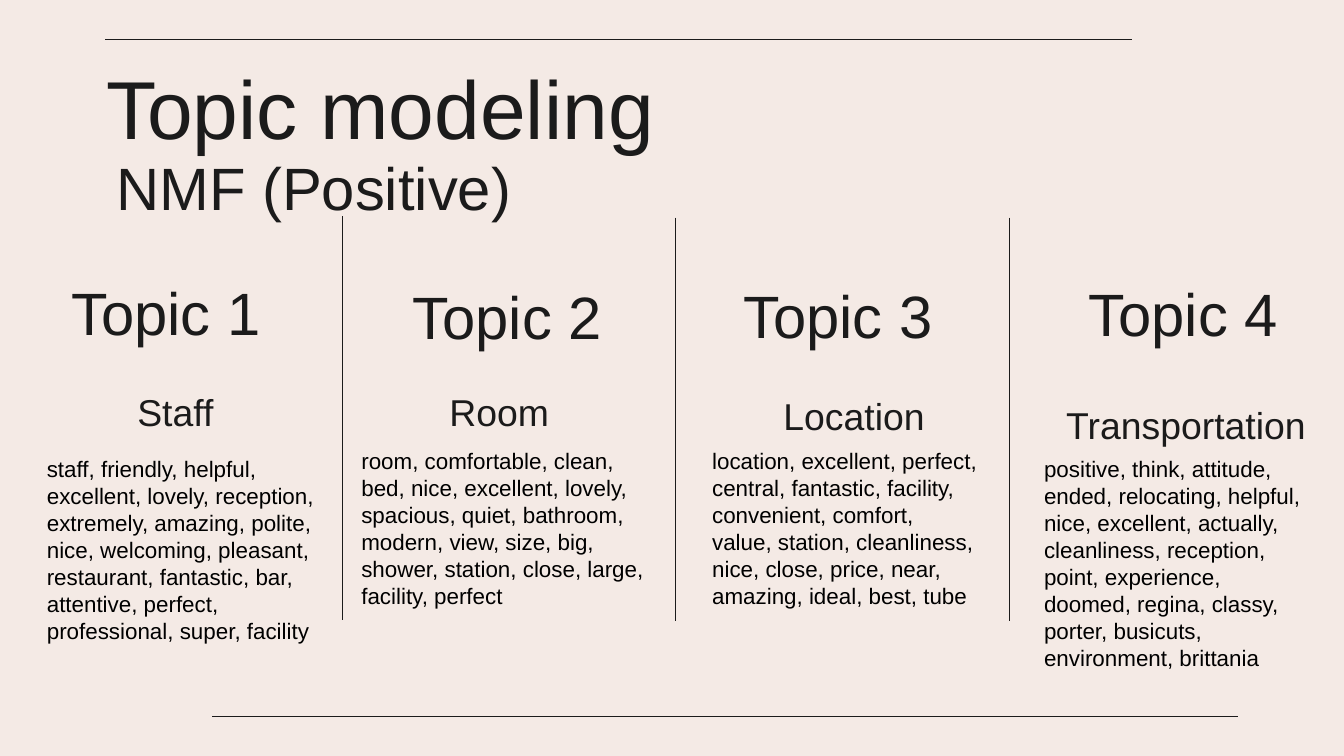
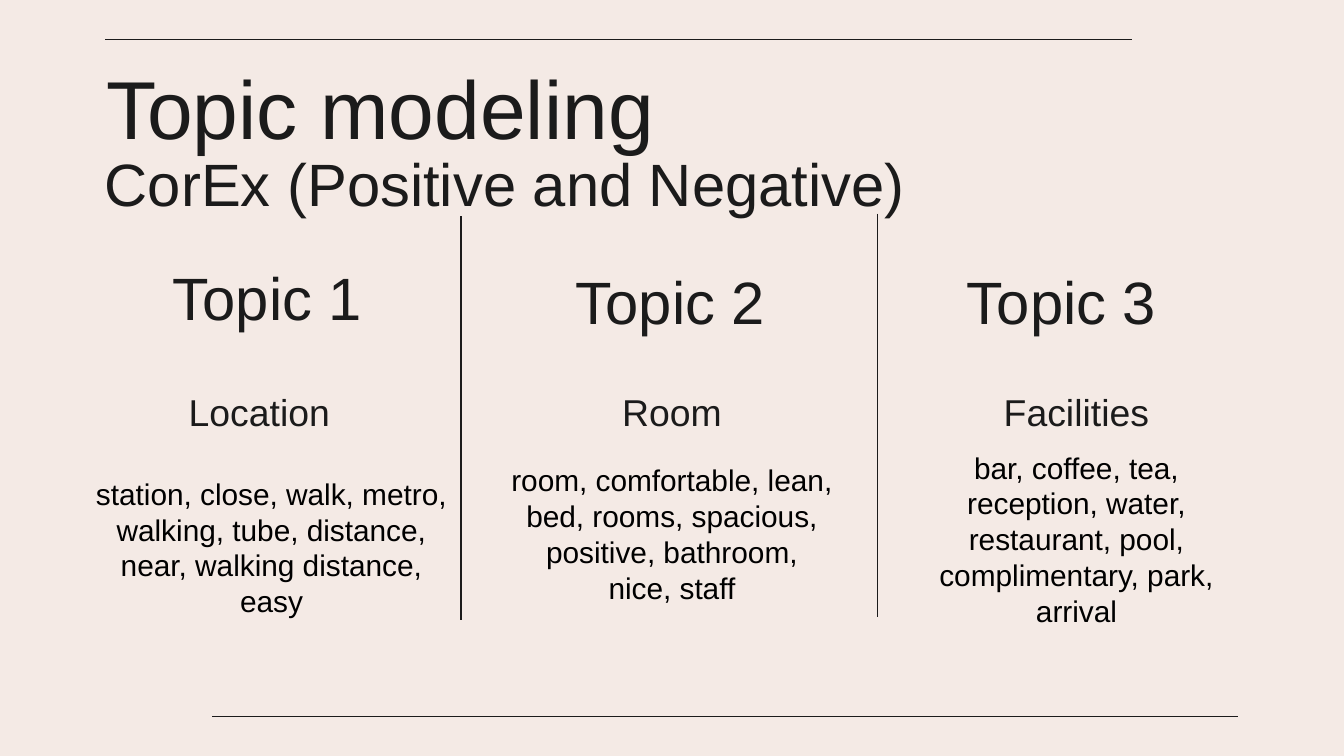
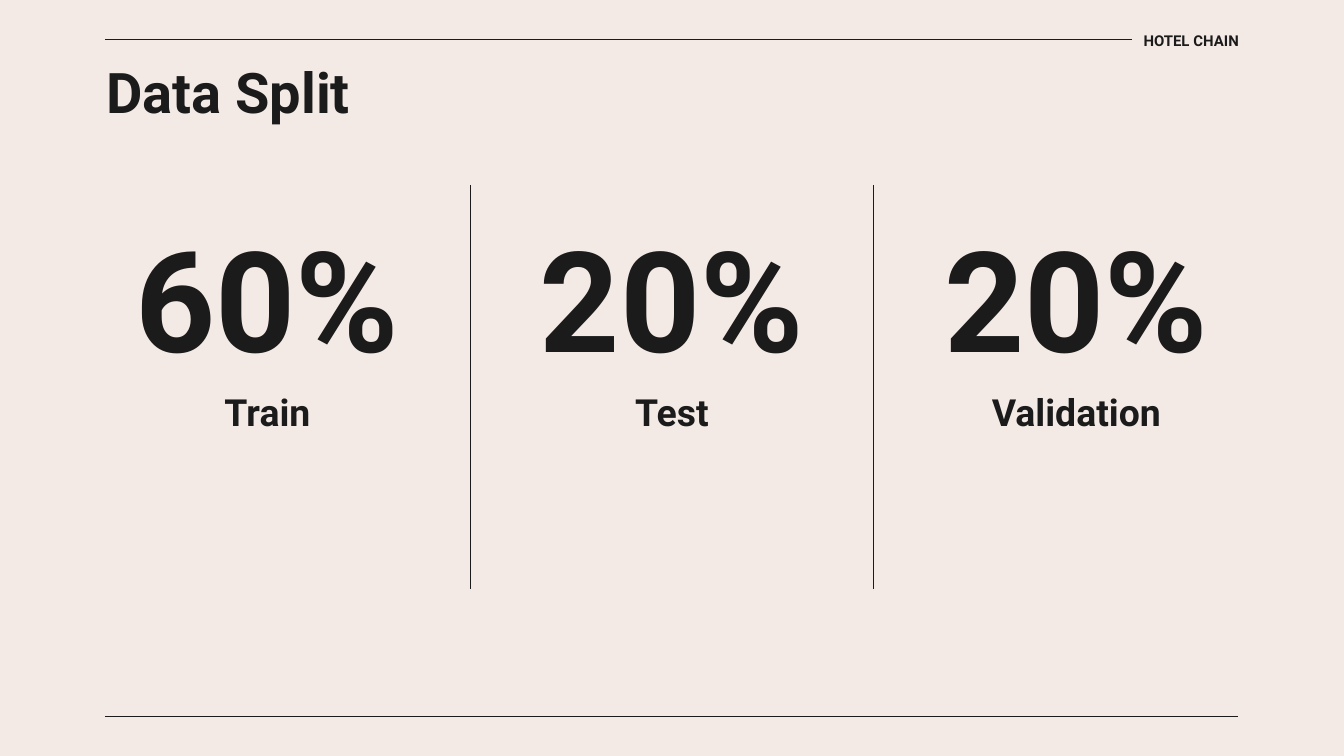
from dataclasses import dataclass, field
from typing import Any, NamedTuple

from lxml.etree import SubElement
from pptx import Presentation
from pptx.dml.color import RGBColor
from pptx.enum.shapes import MSO_CONNECTOR
from pptx.enum.text import MSO_ANCHOR, MSO_AUTO_SIZE, PP_ALIGN
from pptx.oxml.ns import qn
from pptx.slide import Slide
from pptx.util import Inches, Pt

WIDTH, HEIGHT = Inches(10), Inches(5.625)
CELL = WIDTH // 100  # the grid has 100 columns of square cells


class Box(NamedTuple):
    col: float
    row: float
    cols: float
    rows: float


class Rule(NamedTuple):
    col: float
    row: float
    to_col: float
    to_row: float


@dataclass(frozen=True)
class Style:
    size: float
    face: str = "Arial"
    bold: bool = False
    dark: bool = False
    align: PP_ALIGN = PP_ALIGN.CENTER
    anchor: MSO_ANCHOR = MSO_ANCHOR.MIDDLE
    pad: tuple[float, float] = (0, 0)
    fit: MSO_AUTO_SIZE = MSO_AUTO_SIZE.NONE


@dataclass(frozen=True)
class Theme:
    paper: RGBColor = RGBColor(0xF4, 0xEA, 0xE5)
    ink: RGBColor = RGBColor(0x1B, 0x1B, 0x1B)
    black: RGBColor = RGBColor(0, 0, 0)
    line: float = 0.75
    title: Style = Style(44, align=PP_ALIGN.LEFT, anchor=MSO_ANCHOR.TOP)
    method: Style = Style(32, align=PP_ALIGN.LEFT, anchor=MSO_ANCHOR.TOP)
    topic: Style = Style(32)
    label: Style = Style(20)
    dense: Style = Style(12, dark=True, align=PP_ALIGN.LEFT, anchor=MSO_ANCHOR.TOP,
                         pad=(1, 0.5), fit=MSO_AUTO_SIZE.SHAPE_TO_FIT_TEXT)
    words: Style = Style(16, dark=True)
    split: Style = Style(30, "Roboto", True, align=PP_ALIGN.LEFT, anchor=MSO_ANCHOR.TOP)
    share: Style = Style(75, "Roboto", True)
    subset: Style = Style(20, "Roboto", True)
    tag: Style = Style(8, "Roboto", True, align=PP_ALIGN.RIGHT)


@dataclass(frozen=True)
class Topic:
    name: str
    words: str
    head_box: Box
    name_box: Box
    word_box: Box


@dataclass(frozen=True)
class Model:
    method: str
    place: Box
    style: Style
    rules: list[Rule]
    topics: list[Topic] = field(default_factory=list)


THEME = Theme()
LEFT, RIGHT, TAG_COL = 7.85, 92.15, 84.2
TOP, BASE, TALL = 2.95, 53.3, 30
TITLE = Box(7.9, 4.3, 84.3, 5)


def grid(value: float) -> int:
    return round(value * CELL)


def apply(target: Any, values: dict[str, Any]) -> None:
    for key, value in values.items():
        setattr(target, key, value)


def write(slide: Slide, text: str, box: Box, style: Style) -> None:
    frame = slide.shapes.add_textbox(*map(grid, box)).text_frame
    side, edge = map(grid, style.pad)
    apply(frame, dict(margin_left=side, margin_right=side, margin_top=edge,
                      margin_bottom=edge, vertical_anchor=style.anchor,
                      word_wrap=True, auto_size=style.fit))
    para = frame.paragraphs[0]
    para.alignment = style.align
    run = para.add_run()
    run.text = text
    apply(run.font, dict(name=style.face, size=Pt(style.size), bold=style.bold))
    run.font.color.rgb = THEME.black if style.dark else THEME.ink


def draw(slide: Slide, rule: Rule) -> None:
    line = slide.shapes.add_connector(MSO_CONNECTOR.STRAIGHT, *map(grid, rule))
    line.line.width = Pt(THEME.line)
    line.line.color.rgb = THEME.ink
    SubElement(line._element.spPr, qn("a:effectLst"))


def upright(col: float, row: float) -> Rule:
    return Rule(col, row, col, row + TALL)


def start(deck: Any, title: str, style: Style, base_col: float, rules: list[Rule]) -> Slide:
    """Add a slide with its title, frame lines and column rules."""
    slide = deck.slides.add_slide(deck.slide_layouts[6])
    write(slide, title, TITLE, style)
    frame = [Rule(TAG_COL, TOP, LEFT, TOP), Rule(base_col, BASE, RIGHT, BASE)]
    for rule in frame + rules:
        draw(slide, rule)
    return slide


def show_model(deck: Any, model: Model) -> None:
    slide = start(deck, "Topic modeling", THEME.title, 15.8, model.rules)
    write(slide, model.method, model.place, THEME.method)
    for count, topic in enumerate(model.topics, 1):
        write(slide, f"Topic {count}", topic.head_box, THEME.topic)
        write(slide, topic.name, topic.name_box, THEME.label)
        write(slide, topic.words, topic.word_box, model.style)


def show_split(deck: Any, shares: dict[str, str]) -> None:
    rules = [upright(col, 13.8) for col in (35, 65)]
    slide = start(deck, "Data Split", THEME.split, LEFT, rules)
    write(slide, "HOTEL CHAIN", Box(TAG_COL, 2.2, 8, 1.6), THEME.tag)
    for place, (name, share) in enumerate(shares.items()):
        col = 7.9 + 30.1 * place
        write(slide, share, Box(col, 16.1, 24, 12), THEME.share)
        write(slide, name, Box(col, 28.1, 24, 5), THEME.subset)


NMF = Model(
    "NMF (Positive)", Box(8.65, 11.2, 84.3, 5), THEME.dense,
    [upright(25.5, 16.1), upright(50.25, 16.2), upright(75.1, 16.2)],
    [
        Topic("Staff",
              "staff, friendly, helpful, excellent, lovely, reception, extremely, amazing, "
              "polite, nice, welcoming, pleasant, restaurant, fantastic, bar, attentive, "
              "perfect, professional, super, facility",
              Box(0.8, 17.2, 23.1, 12), Box(1.5, 28.1, 23.1, 5), Box(2.5, 33.4, 21.9, 17.2)),
        Topic("Room",
              "room, comfortable, clean, bed, nice, excellent, lovely, spacious, quiet, "
              "bathroom, modern, view, size, big, shower, station, close, large, "
              "facility, perfect",
              Box(26.2, 17.5, 23.1, 12), Box(25.6, 28.1, 23.1, 5), Box(25.9, 32.8, 23.1, 13.1)),
        Topic("Location",
              "location, excellent, perfect, central, fantastic, facility, convenient, "
              "comfort, value, station, cleanliness, nice, close, price, near, amazing, "
              "ideal, best, tube",
              Box(50.8, 17.4, 23.1, 12), Box(52, 28.4, 23.1, 5), Box(52, 32.8, 21.8, 13.1)),
        Topic("Transportation",
              "positive, think, attitude, ended, relocating, helpful, nice, excellent, "
              "actually, cleanliness, reception, point, experience, doomed, regina, "
              "classy, porter, busicuts, environment, brittania",
              Box(76.5, 17.3, 23.1, 12), Box(76.5, 29.1, 23.5, 5), Box(76.7, 33.4, 21.6, 17.2)),
    ],
)

COREX = Model(
    "CorEx (Positive and Negative)", Box(7.8, 10.9, 84.3, 5), THEME.words,
    [upright(34.3, 16.1), upright(65.3, 15.9)],
    [
        Topic("Location",
              "station, close, walk, metro, walking, tube, distance, near, "
              "walking distance, easy",
              Box(7.9, 16.1, 24, 12), Box(4.6, 28.1, 29.4, 5), Box(6.5, 33.1, 27.4, 15.2)),
        Topic("Room",
              "room, comfortable, lean, bed, rooms, spacious, positive, bathroom, "
              "nice, staff",
              Box(37.9, 16.4, 24, 12), Box(38, 28.1, 24, 5), Box(38, 33.1, 24, 13.2)),
        Topic("Facilities",
              "bar, coffee, tea, reception, water, restaurant, pool, complimentary, "
              "park, arrival",
              Box(67, 16.4, 24, 12), Box(68.1, 28.1, 24, 5), Box(68.1, 33.1, 24, 14)),
    ],
)


def main() -> None:
    deck = Presentation()
    apply(deck, dict(slide_width=WIDTH, slide_height=HEIGHT))
    fill = deck.slide_master.background.fill
    fill.solid()
    fill.fore_color.rgb = THEME.paper
    for model in (NMF, COREX):
        show_model(deck, model)
    show_split(deck, {"Train": "60%", "Test": "20%", "Validation": "20%"})
    deck.save("out.pptx")


if __name__ == "__main__":
    main()
